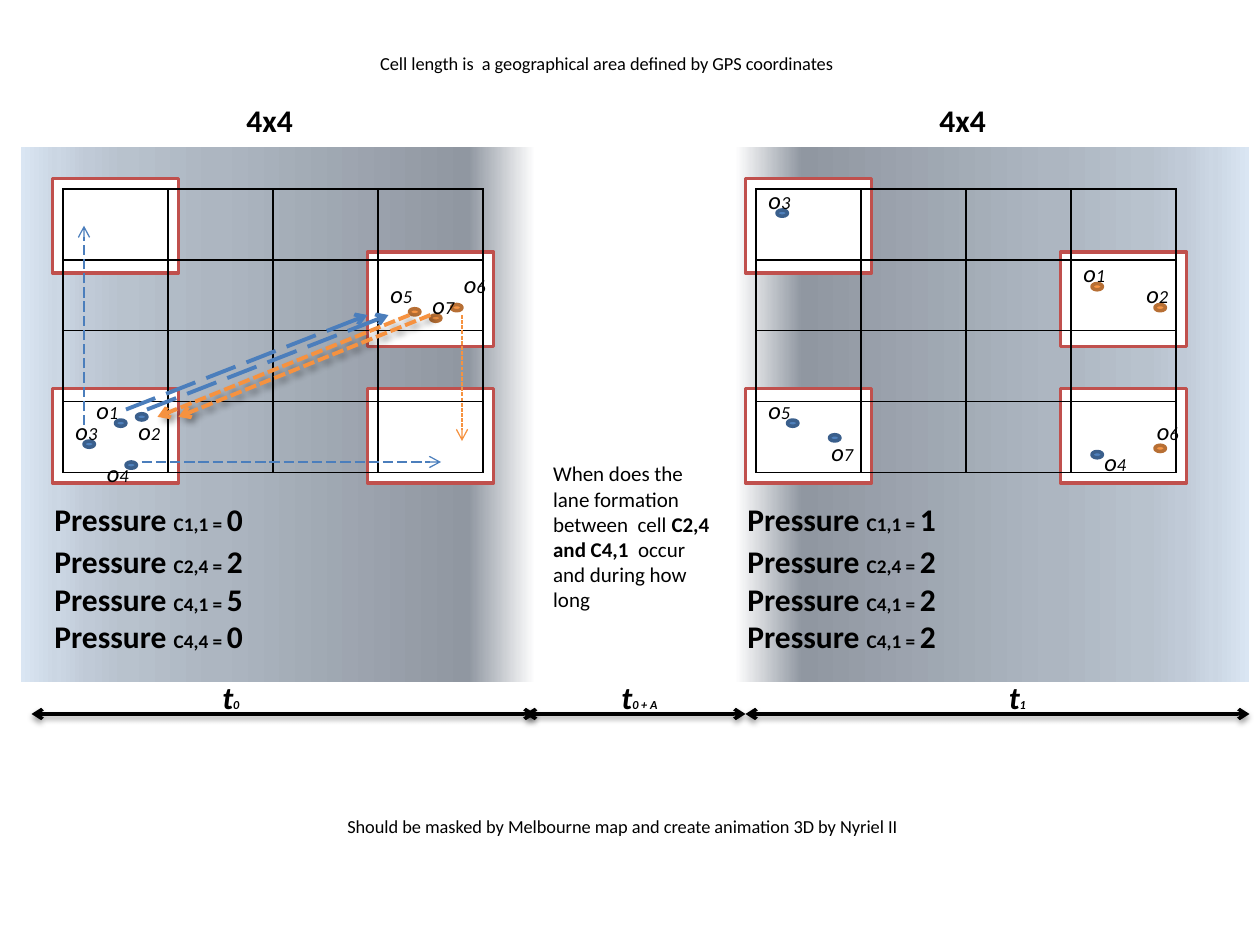
"""Build a slide comparing cell pressure on a 4x4 grid at two moments in time."""
from lxml.etree import SubElement
from pptx import Presentation
from pptx.dml.color import RGBColor
from pptx.enum.dml import MSO_LINE as DASH
from pptx.enum.shapes import MSO_CONNECTOR as CONNECTOR, MSO_SHAPE as SHAPE
from pptx.enum.text import MSO_ANCHOR as ANCHOR, MSO_AUTO_SIZE as AUTO, PP_ALIGN as ALIGN
from pptx.oxml import parse_xml
from pptx.oxml.ns import nsdecls, qn
from pptx.util import Inches, Pt

BLUE, ORANGE, BLACK, WHITE = "4F81BD", "F79646", "000000", "FFFFFF"
BLUE_LINE, ORANGE_LINE = "4B7EBC", "F69240"
RIMS = {BLUE: "3A5F8C", ORANGE: "B76F34"}
FADE = [(0, WHITE), (13, "9097A1"), (62, "ADB6C1"), (80, "B8C2CD"),
        (87, "C0CAD7"), (93, "CCD7E4"), (93, "CBD6E3"), (100, "DAE6F3")]
HEAD = {"size": Pt(18), "bold": True}
INDEX = {"size": Pt(11), "bold": True}
OBJECT = {"size": Pt(14), "italic": True}
OBJECT_INDEX = {"size": Pt(10.5), "italic": True}
TIME = {"size": Pt(18), "bold": True, "italic": True}
TIME_INDEX = {"size": Pt(7), "bold": True, "italic": True}
NOTE = {"size": Pt(10.5)}
QUESTION = {"size": Pt(12)}
CELL_NAMES = {"size": Pt(12), "bold": True}

deck = Presentation()
deck.slide_width, deck.slide_height = Inches(10), Inches(7.5)
step = deck.slide_width / 120
slide = deck.slides.add_slide(deck.slide_layouts[5])
shapes = slide.shapes


def paint(fill, colour):
    fill.solid()
    fill.fore_color.rgb = RGBColor.from_string(colour)


def write(at, paragraphs, wrap=True, box=None):
    box = box or shapes.add_textbox(0, 0, 0, 0)
    box.left, box.top, box.width, box.height = [round(n * step) for n in at]
    frame = box.text_frame
    frame.word_wrap, frame.auto_size = wrap, AUTO.SHAPE_TO_FIT_TEXT
    frame.vertical_anchor = ANCHOR.TOP
    for i, runs in enumerate(paragraphs):
        line = frame.add_paragraph() if i else frame.paragraphs[0]
        line.alignment = ALIGN.LEFT
        for words, formats in runs:
            run = line.add_run()
            run.text = words
            for key, value in {"name": "Calibri", **formats}.items():
                setattr(run.font, key, value)
            paint(run.font.fill, BLACK)


write((35, 4.4, 52, 3.3),
      [[("Cell length is  a geographical area defined by GPS coordinates", NOTE)]],
      box=shapes.title)

moments = [
    {"shift": 0, "panel": 2, "angle": 180,
     "dots": {BLUE: [(11, 40), (8, 42), (13, 39.4), (12, 44)],
              ORANGE: [(41, 30), (39, 29.4), (43, 29)]},
     "objects": {"2": (12, 39), "1": (8, 37), "3": (6, 39), "5": (36, 26),
                 "7": (40, 27), "6": (43, 25), "4": (9, 43)},
     "pressures": [("C1,1", "0"), ("C2,4", "2"), ("C4,1", "5"), ("C4,4", "0")]},
    {"shift": 66, "panel": 70, "angle": 0,
     "dots": {BLUE: [(9, 40), (8, 20), (13, 41.4), (38, 43)],
              ORANGE: [(44, 29), (38, 27), (44, 42.4)]},
     "objects": {"7": (12, 41), "5": (6, 37), "3": (6, 17), "1": (36, 24),
                 "2": (42, 26), "6": (43, 39), "4": (38, 42)},
     "pressures": [("C1,1", "1"), ("C2,4", "2"), ("C4,1", "2"), ("C4,1", "2")]},
]

for moment in moments:
    shift = moment["shift"]
    panel = shapes.add_shape(SHAPE.RECTANGLE, *[round(n * step) for n in (moment["panel"], 14, 49, 51)])
    panel.shadow.inherit = False
    panel.line.fill.background()
    panel.fill.gradient()
    panel.fill.gradient_angle = moment["angle"]
    stops = next(panel.element.iter(qn("a:gsLst")))
    for stop in list(stops):
        stops.remove(stop)
    for share, colour in FADE:
        stop = SubElement(stops, qn("a:gs"), pos=str(share * 1000))
        SubElement(stop, qn("a:srgbClr"), val=colour)

    marks = [(SHAPE.RECTANGLE, x, y, 12, 9, WHITE, "C0504D")
             for x, y in [(35, 37), (5, 17), (35, 24), (5, 37)]]
    marks += [(SHAPE.OVAL, x, y, 1, 0.6, colour, RIMS[colour])
              for colour, spots in moment["dots"].items() for x, y in spots]
    for i, (kind, x, y, wide, high, colour, rim) in enumerate(marks):
        if i == 4:
            grid = shapes.add_table(4, 4, *[round(n * step) for n in (6 + shift, 18, 40, 27)]).table
            grid.first_row = grid.horz_banding = False
            for cell in grid.iter_cells():
                borders = cell._tc.get_or_add_tcPr()
                for side in "LRTB":
                    borders.append(parse_xml(
                        f'<a:ln{side} w="12700" {nsdecls("a")}><a:solidFill>'
                        f'<a:srgbClr val="{BLACK}"/></a:solidFill></a:ln{side}>'))
                cell.fill.background()
        mark = shapes.add_shape(kind, *[round(n * step) for n in (x + shift, y, wide, high)])
        mark.shadow.inherit = False
        paint(mark.fill, colour)
        paint(mark.line.fill, rim)
        mark.line.width = Pt(2)

    for number, (x, y) in moment["objects"].items():
        write((x + shift, y, 8 if number == "3" else 5, 4.1),
              [[("o", OBJECT), (number, OBJECT_INDEX)]])
    write((22.3 + shift, 9, 7.4, 5), [[("4x4", HEAD)]])
    pressures = [[("Pressure ", HEAD), (f"{cell} = ", INDEX), (value, HEAD)]
                 for cell, value in moment["pressures"]]
    write((4 + shift, 47, 31, 4.8), pressures[:1])
    write((4 + shift, 51, 31, 12.1), pressures[1:])

SWAP_SHADOW, TIME_SHADOW = (50800, 38100, 45, 40), (40000, 20000, 90, 38)
arrows = [((x, 39, x + 23, 30), BLUE_LINE, 2.25, DASH.LONG_DASH, None) for x in (12, 14)]
arrows += [((x, 30, x - 24, 39.7), ORANGE_LINE, 2.25, DASH.SQUARE_DOT, SWAP_SHADOW) for x in (39, 41)]
arrows += [((8, 40.5, 8, 21.5), BLUE_LINE, 0.75, DASH.LONG_DASH, None),
           ((13.5, 44, 42, 44), BLUE_LINE, 0.75, DASH.LONG_DASH, None),
           ((44, 30, 44, 42), ORANGE_LINE, 0.75, DASH.SQUARE_DOT, None)]
arrows += [((start, 68, end, 68), BLACK, 2, None, TIME_SHADOW)
           for start, end in [(3, 51), (71, 119), (50, 71)]]
for ends, colour, width, dash, shadow in arrows:
    arrow = shapes.add_connector(CONNECTOR.STRAIGHT, *[round(n * step) for n in ends])
    paint(arrow.line.fill, colour)
    arrow.line.width = Pt(width)
    if dash:
        arrow.line.dash_style = dash
    outline = arrow.line._get_or_add_ln()
    for tip in ("tailEnd",) if dash else ("headEnd", "tailEnd"):
        SubElement(outline, qn(f"a:{tip}"), type="arrow")
    effects = SubElement(arrow.element.spPr, qn("a:effectLst"))
    if shadow:
        blur, distance, angle, opacity = shadow
        cast = SubElement(effects, qn("a:outerShdw"), blurRad=str(blur), dist=str(distance),
                          dir=str(angle * 60000), rotWithShape="0")
        shade = SubElement(cast, qn("a:srgbClr"), val=BLACK)
        SubElement(shade, qn("a:alpha"), val=str(opacity * 1000))

for left, width, index in [(20, 4.1, "0"), (94.9, 4.1, "1"), (58, 6.2, "0 + A")]:
    write((left, 64, width, 4.8), [[("t", TIME), (index, TIME_INDEX)]], wrap=False)
write((51.5, 43.3, 18.1, 15.7), [[("When does the lane formation between  cell ", QUESTION),
                                  ("C2,4 and C4,1 ", CELL_NAMES),
                                  (" occur and during how long", QUESTION)]])
write((31.9, 77, 65, 3.3),
      [[("Should be masked by Melbourne map and create animation 3D by Nyriel II", NOTE)]])

deck.save("out.pptx")
